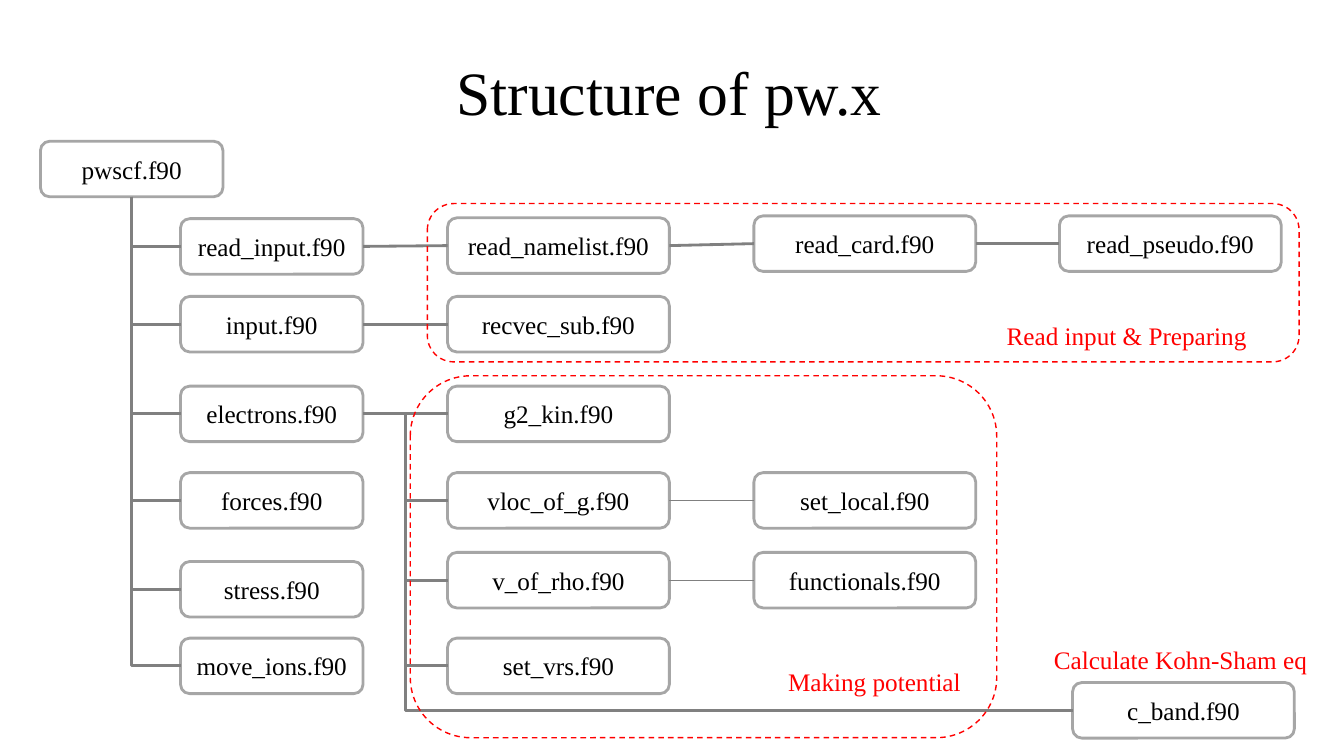
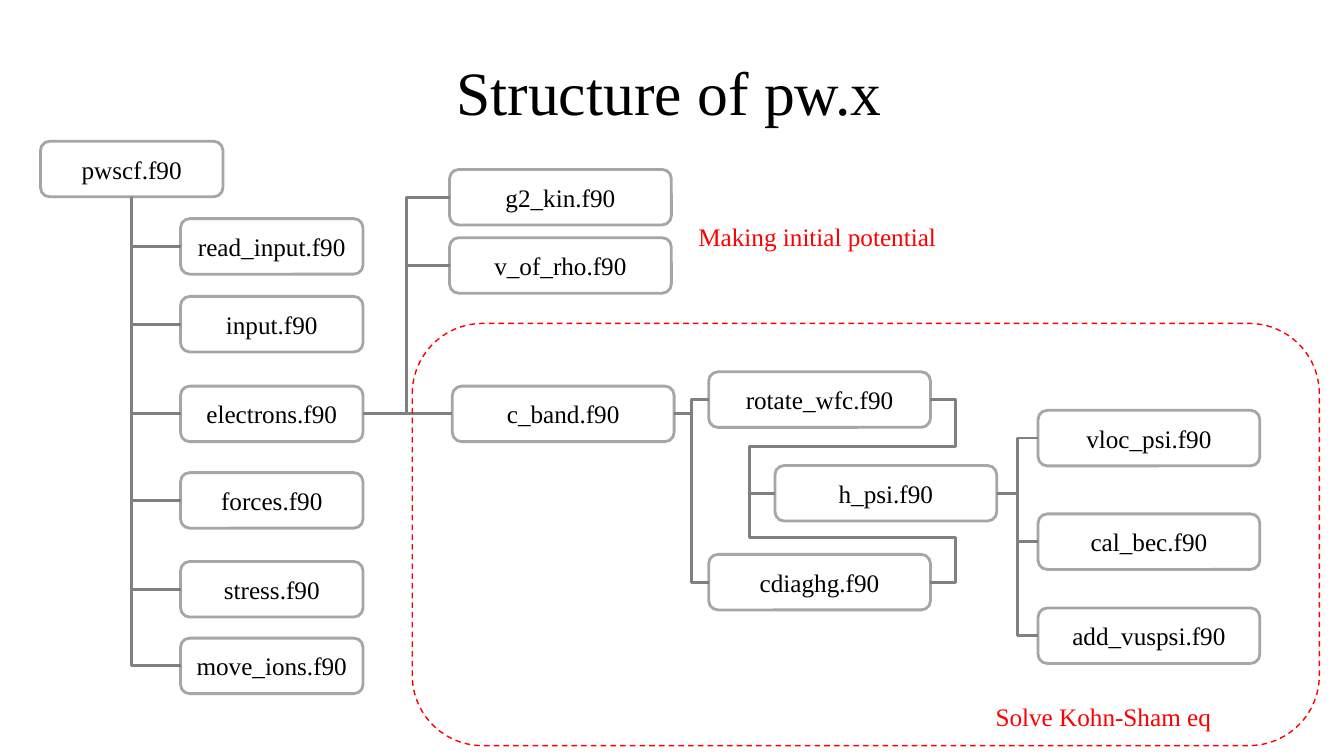
from lxml import etree
from pptx import Presentation
from pptx.dml.color import RGBColor
from pptx.enum import dml, shapes, text
from pptx.oxml.ns import qn
from pptx.util import Cm, Pt

FONT = "Times New Roman"
BLACK = RGBColor(0x00, 0x00, 0x00)
RED = RGBColor(0xFF, 0x00, 0x00)
BORDER_GREY = RGBColor(0xA6, 0xA6, 0xA6)
LINE_GREY = RGBColor(0x80, 0x80, 0x80)

# Lengths are centimetres
TITLE = "Structure of pw.x"
TITLE_FRAME = (2.26, 0.58, 29.21, 3.68)
BOX_HEIGHT = 1.4
NARROW, WIDE = 4.6, 5.59
LABEL_HEIGHT = 1.02
TOP, LEFT, BOTTOM, RIGHT = range(4)  # connection sites of a box

ROOT = "pwscf.f90"
ROOT_PLACE = (1.02, 3.56)
STEP_LEFT = 4.55
STEPS = [
    ("read_input.f90", 5.51),
    ("input.f90", 7.47),
    ("electrons.f90", 9.73),
    ("forces.f90", 11.91),
    ("stress.f90", 14.15),
    ("move_ions.f90", 16.08),
]
COLUMNS = [11.28, 19, 26.7]

# links: start, end, kind, then optional format
SLIDES = [
    {
        "boxes": [
            ("read_namelist.f90", COLUMNS[0], 5.49),
            ("read_card.f90", COLUMNS[1], 5.44),
            ("read_pseudo.f90", COLUMNS[2], 5.44),
            ("recvec_sub.f90", COLUMNS[0], 7.47),
            ("g2_kin.f90", COLUMNS[0], 9.73),
            ("vloc_of_g.f90", COLUMNS[0], 11.91),
            ("set_local.f90", COLUMNS[1], 11.91),
            ("v_of_rho.f90", COLUMNS[0], 13.92),
            ("functionals.f90", COLUMNS[1], 13.92),
            ("set_vrs.f90", COLUMNS[0], 16.08),
            ("c_band.f90", 27.03, 17.2),
        ],
        "links": [
            ("read_input.f90", "read_namelist.f90", "line", {}),
            ("read_namelist.f90", "read_card.f90", "line", {}),
            ("read_card.f90", "read_pseudo.f90", "line", {}),
            ("input.f90", "recvec_sub.f90", "line", {}),
            ("electrons.f90", "g2_kin.f90", "line", {}),
            ("electrons.f90", "vloc_of_g.f90", "elbow", {}),
            ("electrons.f90", "v_of_rho.f90", "elbow", {}),
            ("electrons.f90", "set_vrs.f90", "elbow", {}),
            ("electrons.f90", "c_band.f90", "elbow", {"bends": [0.06]}),
            ("vloc_of_g.f90", "set_local.f90", "line", {"weight": 0.5}),
            ("v_of_rho.f90", "functionals.f90", "line", {"weight": 0.5}),
        ],
        "groups": [(10.77, 5.13, 21.97, 3.99), (10.34, 9.47, 14.78, 9.12)],
        "labels": [
            ("Read input & Preparing", 25.12, 7.95, 6.6),
            ("Making potential", 19.61, 16.66, 4.98),
            ("Calculate Kohn-Sham eq", 26.31, 16.1, 6.99),
        ],
    },
    {
        "boxes": [
            ("g2_kin.f90", 11.33, 4.27),
            ("v_of_rho.f90", 11.33, 5.99),
            ("c_band.f90", 11.4, 9.73),
            ("rotate_wfc.f90", 17.86, 9.37),
            ("h_psi.f90", 19.53, 11.73),
            ("cdiaghg.f90", 17.86, 13.97),
            ("vloc_psi.f90", 26.16, 10.34),
            ("cal_bec.f90", 26.16, 12.95),
            ("add_vuspsi.f90", 26.16, 15.32),
        ],
        "links": [
            ("electrons.f90", "g2_kin.f90", "elbow", {}),
            ("electrons.f90", "v_of_rho.f90", "elbow", {}),
            ("electrons.f90", "c_band.f90", "line", {}),
            ("c_band.f90", "rotate_wfc.f90", "elbow", {}),
            ("c_band.f90", "cdiaghg.f90", "elbow", {}),
            ("rotate_wfc.f90", "h_psi.f90", "loop", {}),
            ("cdiaghg.f90", "h_psi.f90", "loop", {}),
            ("h_psi.f90", "vloc_psi.f90", "elbow", {}),
            ("h_psi.f90", "cal_bec.f90", "elbow", {}),
            ("h_psi.f90", "add_vuspsi.f90", "elbow", {}),
        ],
        "groups": [(10.39, 8.15, 22.86, 10.64)],
        "labels": [
            ("Making initial potential", 17.35, 5.46, 6.83),
            ("Solve Kohn-Sham eq", 24.84, 17.55, 6.99),
        ],
    },
]

# kind: preset geometry and default bends, as shares of the width
LINK_KINDS = {
    "line": ("line", []),
    "branch": ("bentConnector2", []),
    "elbow": ("bentConnector3", [0.5]),
    "loop": ("bentConnector5", [-0.163, 0.5, 1.163]),
}


def write(shape, words, size=18, color=BLACK, align=text.PP_ALIGN.CENTER,
          anchor=text.MSO_ANCHOR.MIDDLE, spacing=None):
    frame = shape.text_frame
    frame.word_wrap = True
    frame.vertical_anchor = anchor
    paragraph = frame.paragraphs[0]
    paragraph.text = words
    paragraph.alignment = align
    paragraph.line_spacing = spacing
    paragraph.font.name = FONT
    paragraph.font.size = Pt(size)
    paragraph.font.color.rgb = color


def add_textbox(slide, frame, words, **style):
    write(slide.shapes.add_textbox(*map(Cm, frame)), words, **style)


def add_outline(slide, frame, color, weight):
    shape = slide.shapes.add_shape(
        shapes.MSO_SHAPE.ROUNDED_RECTANGLE, *map(Cm, frame))
    shape.shadow.inherit = False
    shape.fill.background()
    shape.line.color.rgb = color
    shape.line.width = Pt(weight)
    return shape


def add_box(slide, name, left, top, width=WIDE):
    box = add_outline(slide, (left, top, width, BOX_HEIGHT), BORDER_GREY, 2)
    write(box, name)
    return box


def turn_branch(connector):
    """Rotate a two-segment connector so that it runs down, then right."""
    width, height = connector.width, connector.height
    connector.left += (width - height) // 2
    connector.top += (height - width) // 2
    connector.width, connector.height = height, width
    transform = connector.element.spPr.find(qn("a:xfrm"))
    transform.set("rot", "16200000")
    transform.set("flipH", "1")


def add_link(slide, start, end, kind, weight=2, bends=None):
    preset, default_bends = LINK_KINDS[kind]
    connector = slide.shapes.add_connector(
        shapes.MSO_CONNECTOR.ELBOW, 0, 0, 0, 0)
    connector.begin_connect(start, BOTTOM if kind == "branch" else RIGHT)
    connector.end_connect(end, LEFT)
    connector.line.color.rgb = LINE_GREY
    connector.line.width = Pt(weight)

    properties = connector.element.spPr
    etree.SubElement(properties, qn("a:effectLst"))
    geometry = properties.find(qn("a:prstGeom"))
    geometry.set("prst", preset)
    guides = geometry.find(qn("a:avLst"))
    for number, bend in enumerate(bends or default_bends, 1):
        etree.SubElement(guides, qn("a:gd"), name=f"adj{number}",
                         fmla=f"val {round(bend * 100000)}")
    if kind == "branch":
        turn_branch(connector)


def build_slide(presentation, content):
    slide = presentation.slides.add_slide(presentation.slide_layouts[6])
    add_textbox(slide, TITLE_FRAME, TITLE, size=44, spacing=0.9)

    boxes = {ROOT: add_box(slide, ROOT, *ROOT_PLACE, NARROW)}
    for name, top in STEPS:
        boxes[name] = add_box(slide, name, STEP_LEFT, top, NARROW)
        add_link(slide, boxes[ROOT], boxes[name], "branch")
    for name, left, top in content["boxes"]:
        boxes[name] = add_box(slide, name, left, top)
    for start, end, kind, style in content["links"]:
        add_link(slide, boxes[start], boxes[end], kind, **style)

    for frame in content["groups"]:
        group = add_outline(slide, frame, RED, 1)
        group.line.dash_style = dml.MSO_LINE.DASH
    for words, left, top, width in content["labels"]:
        add_textbox(slide, (left, top, width, LABEL_HEIGHT), words, color=RED,
                    align=text.PP_ALIGN.LEFT, anchor=text.MSO_ANCHOR.TOP)


def main():
    presentation = Presentation()
    presentation.slide_width = Cm(33.87)
    presentation.slide_height = Cm(19.05)
    for content in SLIDES:
        build_slide(presentation, content)
    presentation.save("out.pptx")


if __name__ == "__main__":
    main()
